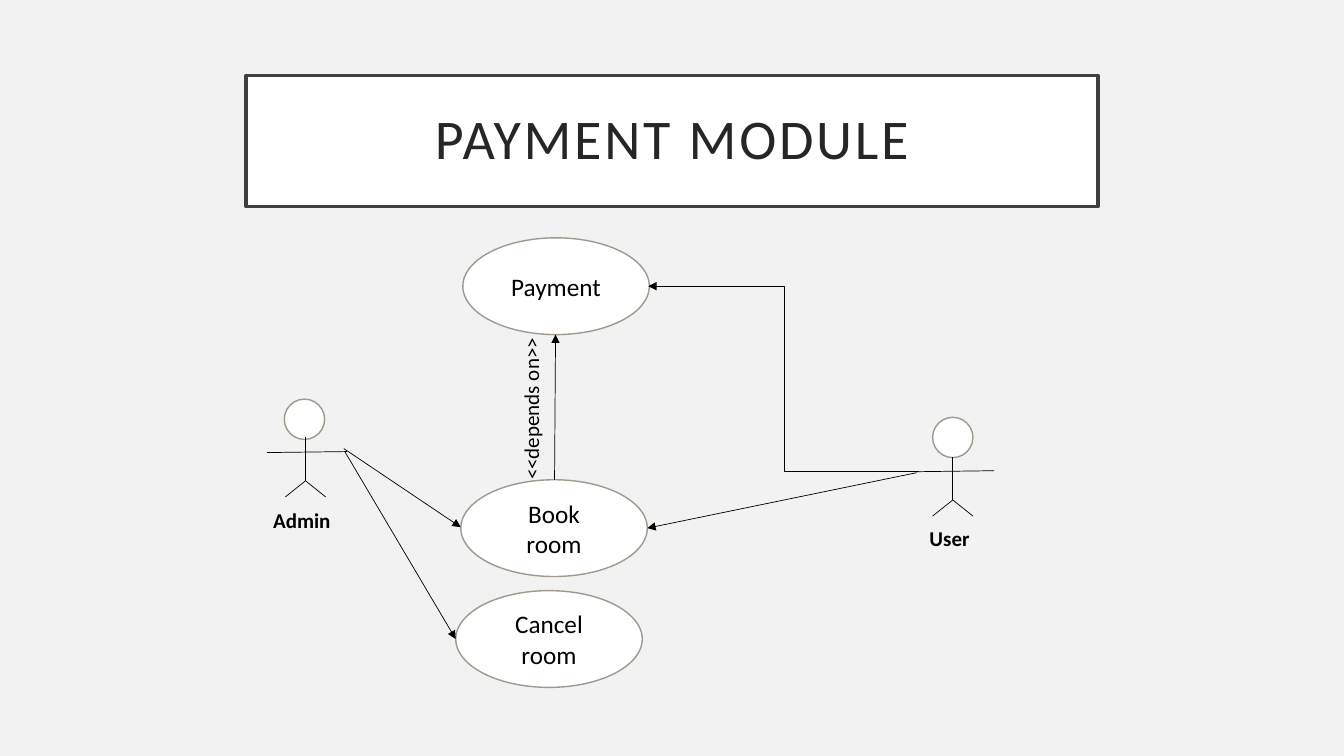
from lxml.etree import SubElement
from pptx import Presentation
from pptx.dml.color import RGBColor
from pptx.enum.shapes import MSO_CONNECTOR, MSO_SHAPE
from pptx.enum.text import MSO_ANCHOR, MSO_AUTO_SIZE, PP_ALIGN
from pptx.oxml.ns import qn
from pptx.util import Inches, Pt


def paint(color_format, hex_color):
    """Set a fill, line or font colour from a hex string."""
    if hasattr(color_format, "solid"):
        color_format.solid()
        color_format = color_format.fore_color
    color_format.rgb = RGBColor.from_string(hex_color)


def add_line(start, end, kind=MSO_CONNECTOR.STRAIGHT, arrow=False):
    """Draw a thin black line, with an arrowhead at its end if asked."""
    connector = slide.shapes.add_connector(kind, *map(Inches, start + end))
    paint(connector.line.color, "000000")
    connector.line.width = Pt(0.5)
    if arrow:
        outline = connector.line._get_or_add_ln()
        SubElement(outline, qn("a:tailEnd"), type="triangle")
    SubElement(connector._element.spPr, qn("a:effectLst"))


presentation = Presentation()
presentation.slide_width = Inches(13.33)
presentation.slide_height = Inches(7.5)
slide = presentation.slides.add_slide(presentation.slide_layouts[5])
paint(slide.background.fill, "F2F2F2")

# Title
title = slide.shapes.title
title.left, title.top = Inches(2.44), Inches(0.75)
title.width, title.height = Inches(8.45), Inches(1.3)
paint(title.fill, "FFFFFF")
paint(title.line.color, "404040")
title.line.width = Pt(2.5)
text_frame = title.text_frame
text_frame.text = "PAYMENT MODULE"
text_frame.auto_size = MSO_AUTO_SIZE.NONE
text_frame.vertical_anchor = MSO_ANCHOR.MIDDLE
text_frame.margin_left = text_frame.margin_right = Inches(0.2)
text_frame.margin_top = text_frame.margin_bottom = Inches(0.2)
paragraph = text_frame.paragraphs[0]
paragraph.alignment = PP_ALIGN.CENTER
paragraph.line_spacing = 0.9
run = paragraph.runs[0]
run.font.name = "Calibri"
run.font.size = Pt(40)
paint(run.font.color, "262626")
run.font._element.set("spc", "200")

# Ellipses: actor heads and use cases
ellipses = [
    ("", 2.82, 3.96, 0.4, 0.4),
    ("", 9.25, 4.14, 0.4, 0.4),
    ("Payment", 4.59, 2.36, 1.85, 0.96),
    ("Book room", 4.57, 4.76, 1.85, 0.96),
    ("Cancel room", 4.52, 5.86, 1.85, 0.96),
]
for text, *box in ellipses:
    shape = slide.shapes.add_shape(MSO_SHAPE.OVAL, *map(Inches, box))
    shape.shadow.inherit = False
    paint(shape.fill, "FFFFFF")
    paint(shape.line.color, "A0988C")
    shape.line.width = Pt(1)
    if text:
        shape.text_frame.text = text
        shape.text_frame.word_wrap = True
        shape.text_frame.vertical_anchor = MSO_ANCHOR.MIDDLE
        paragraph = shape.text_frame.paragraphs[0]
        paragraph.alignment = PP_ALIGN.CENTER
        run = paragraph.runs[0]
        run.font.name = "Calibri"
        run.font.size = Pt(18)
        paint(run.font.color, "000000")

# Actor bodies, measured from the neck: trunk, legs, arms
limbs = [
    ((0, 0), (0, 0.43)),
    ((0, 0.43), (-0.2, 0.59)),
    ((0, 0.43), (0.2, 0.59)),
    ((-0.38, 0.15), (0.41, 0.14)),
]
for neck_x, neck_y in [(3.03, 4.34), (9.45, 4.53)]:
    for (x1, y1), (x2, y2) in limbs:
        add_line((neck_x + x1, neck_y + y1), (neck_x + x2, neck_y + y2))

# Arrows between actors and use cases
arrows = [
    ((5.5, 4.76), (5.51, 3.32), MSO_CONNECTOR.STRAIGHT),
    ((3.41, 4.45), (4.57, 5.23), MSO_CONNECTOR.STRAIGHT),
    ((3.42, 4.48), (4.52, 6.34), MSO_CONNECTOR.STRAIGHT),
    ((9.09, 4.69), (6.42, 5.24), MSO_CONNECTOR.STRAIGHT),
    ((9.12, 4.68), (6.43, 2.84), MSO_CONNECTOR.ELBOW),
]
for start, end, kind in arrows:
    add_line(start, end, kind, arrow=True)

# Labels
labels = [
    ("<<depends on>>", 4.41, 3.83, 1.71, 270, False),
    ("Admin", 2.61, 4.99, 1.01, 0, True),
    ("User", 9.12, 5.16, 0.78, 0, True),
]
for text, left, top, width, rotation, bold in labels:
    label = slide.shapes.add_textbox(
        Inches(left), Inches(top), Inches(width), Inches(0.35))
    label.rotation = rotation
    label.text_frame.text = text
    label.text_frame.word_wrap = True
    run = label.text_frame.paragraphs[0].runs[0]
    run.font.name = "Calibri"
    run.font.size = Pt(15)
    run.font.bold = bold
    paint(run.font.color, "000000")

presentation.save("out.pptx")
